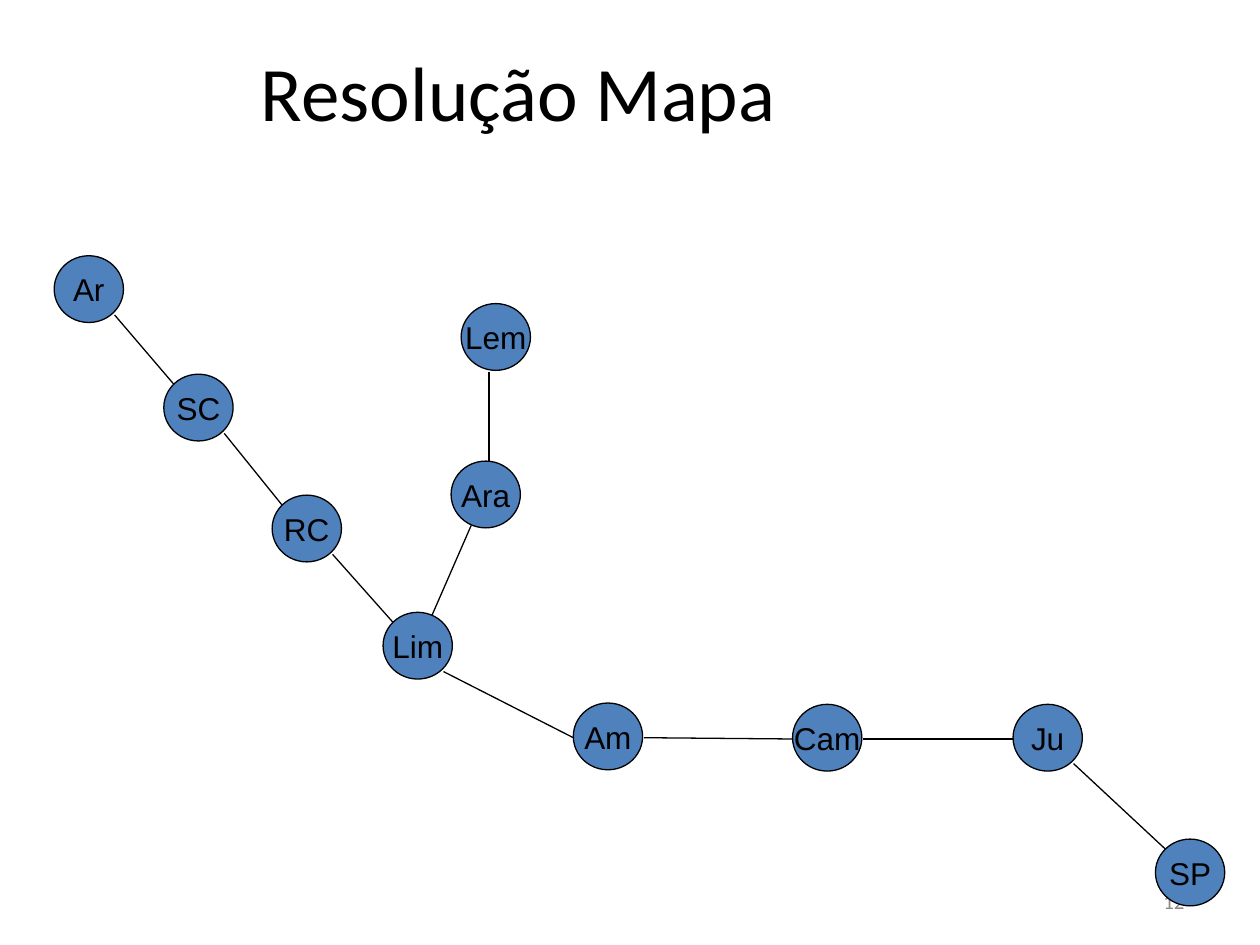
import pptx
import pptx.util
import pptx.dml.color
import pptx.enum.shapes
import pptx.enum.text
import pptx.oxml.ns
import lxml.etree

Align = pptx.enum.text.PP_ALIGN
Anchor = pptx.enum.text.MSO_ANCHOR
COLUMNS, ROWS = 100, 75

theme = {
    "node": pptx.dml.color.RGBColor.from_string("4F81BD"),
    "ink": pptx.dml.color.RGBColor.from_string("000000"),
    "muted": pptx.dml.color.RGBColor.from_string("898989"),
    "line": pptx.util.Pt(0.75),
    "title": {"name": "Calibri", "size": pptx.util.Pt(44)},
    "label": {"name": "Arial", "size": pptx.util.Pt(18)},
    "number": {"name": "Calibri", "size": pptx.util.Pt(12)},
}

deck = pptx.Presentation()
deck.slide_width = pptx.util.Inches(10)
deck.slide_height = pptx.util.Inches(7.5)
page = deck.slides.add_slide(deck.slide_layouts[5])


def place(*lengths):
    units = (deck.slide_width / COLUMNS, deck.slide_height / ROWS)
    return [round(length * units[index % 2]) for index, length in enumerate(lengths)]


def write(box, text, style, color, align, anchor, wrap):
    frame = box.text_frame
    frame_format = {
        "word_wrap": wrap, "vertical_anchor": anchor,
        "auto_size": pptx.enum.text.MSO_AUTO_SIZE.NONE,
        "margin_left": pptx.util.Inches(0.1), "margin_right": pptx.util.Inches(0.1),
        "margin_top": pptx.util.Inches(0.05), "margin_bottom": pptx.util.Inches(0.05),
    }
    for name, value in frame_format.items():
        setattr(frame, name, value)
    para = frame.paragraphs[0]
    para.alignment = align
    span = para.add_run()
    span.text = text
    for name, value in theme[style].items():
        setattr(span.font, name, value)
    span.font.color.rgb = theme[color]


number = page.shapes.add_textbox(*place(71.7, 69.5, 23.3, 4))
write(number, "12", "number", "muted", Align.RIGHT, Anchor.MIDDLE, True)

title = page.shapes.title
title.left, title.top, title.width, title.height = place(5, 3, 72.3, 7.2)
write(title, "Resolução Mapa", "title", "ink", Align.CENTER, Anchor.TOP, True)

node_size = (5.5, 5.3)
cities = {
    "Ar": (4.3, 20.3),
    "SC": (13, 29.7),
    "RC": (21.6, 39.3),
    "Lim": (30.4, 48.6),
    "Am": (45.5, 55.8),
    "Cam": (62.9, 55.9),
    "Ju": (80.4, 55.9),
    "SP": (91.7, 66.6),
    "Ara": (35.8, 36.6),
    "Lem": (36.6, 24.1),
}
for city, corner in cities.items():
    node = page.shapes.add_shape(
        pptx.enum.shapes.MSO_SHAPE.OVAL, *place(*corner, *node_size))
    node.shadow.inherit = False
    node.fill.solid()
    node.fill.fore_color.rgb = theme["node"]
    node.line.color.rgb = theme["ink"]
    node.line.width = theme["line"]
    write(node, city, "label", "ink", Align.CENTER, Anchor.MIDDLE, False)

ports = {
    "southeast": (4.8, 4.7), "northwest": (0.8, 0.8),
    "east": (5.6, 2.75), "west": (0, 2.75),
    "northeast": (3.9, 0.2), "southwest": (1.6, 5.1),
    "north": (3, 0), "south": (2.2, 5.4),
}
roads = [
    ("Ar", "southeast", "SC", "northwest"),
    ("SC", "southeast", "RC", "northwest"),
    ("RC", "southeast", "Lim", "northwest"),
    ("Lim", "southeast", "Am", "west"),
    ("Am", "east", "Cam", "west"),
    ("Cam", "east", "Ju", "west"),
    ("Ju", "southeast", "SP", "northwest"),
    ("Lim", "northeast", "Ara", "southwest"),
    ("Ara", "north", "Lem", "south"),
]
for start, start_port, end, end_port in roads:
    points = []
    for city, port in ((start, start_port), (end, end_port)):
        points += [base + offset for base, offset in zip(cities[city], ports[port])]
    road = page.shapes.add_connector(
        pptx.enum.shapes.MSO_CONNECTOR.STRAIGHT, *place(*points))
    road.line.color.rgb = theme["ink"]
    road.line.width = theme["line"]
    lxml.etree.SubElement(road._element.spPr, pptx.oxml.ns.qn("a:effectLst"))

deck.save("out.pptx")
